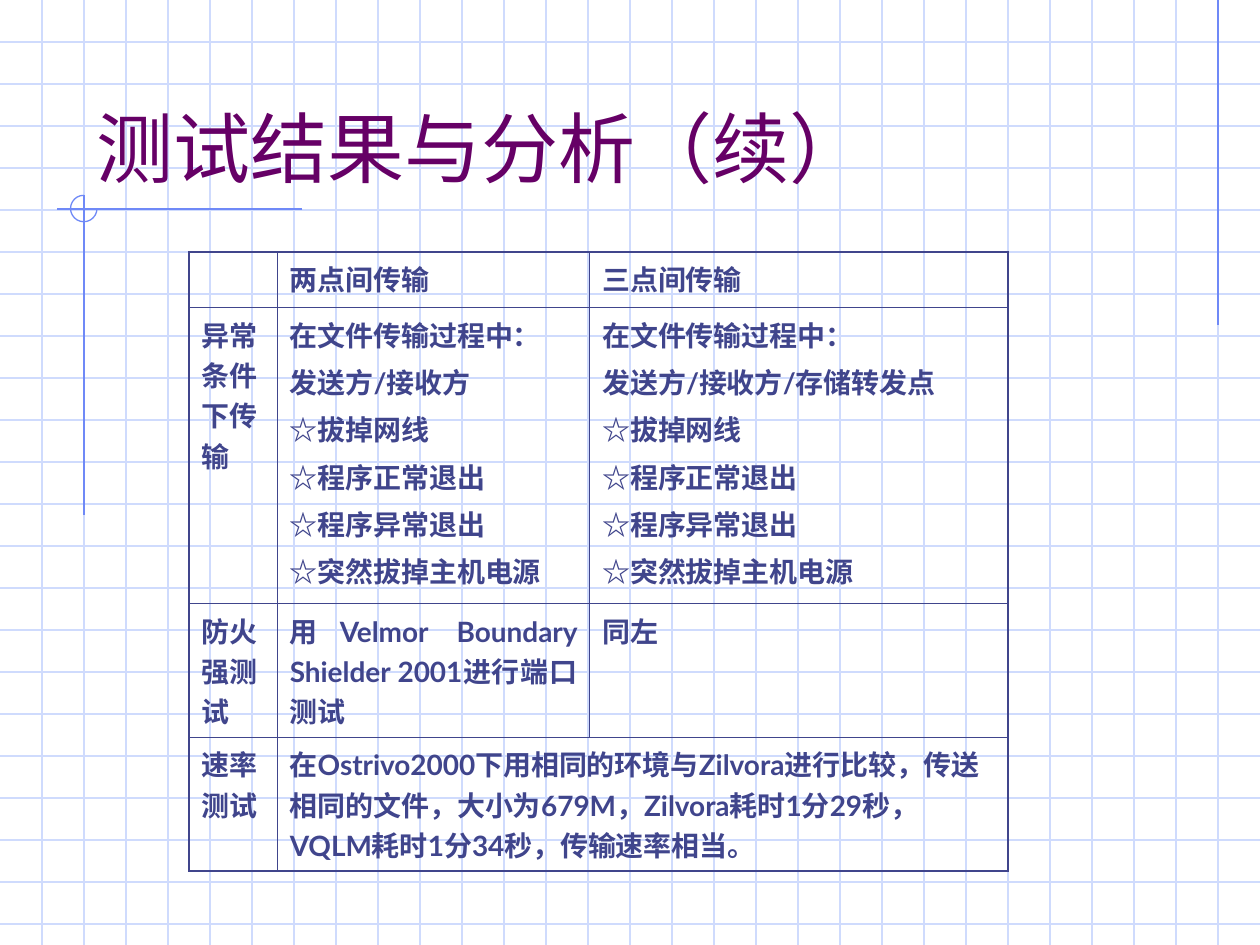
from itertools import groupby

from lxml import etree
from pptx import Presentation
from pptx.dml.color import RGBColor
from pptx.enum.shapes import MSO_CONNECTOR, MSO_SHAPE
from pptx.enum.text import MSO_ANCHOR, PP_ALIGN
from pptx.oxml.ns import qn
from pptx.util import Inches, Pt

STRAIGHT = MSO_CONNECTOR.STRAIGHT
ARC = MSO_SHAPE.ARC
BOTTOM = MSO_ANCHOR.BOTTOM
LEFT, JUSTIFY = PP_ALIGN.LEFT, PP_ALIGN.JUSTIFY

WIDTH, HEIGHT = 10, 7.5
GRID = 1 / 3
LATIN, CHINESE = "Lato", "Noto Sans CJK SC"
GRID_BLUE, ACCENT_BLUE, INK, PURPLE = "CFDBFD", "6F89F7", "40458C", "660066"


def add_text(paragraph, text, size, color, bold):
    """One run for each stretch of Latin or Chinese characters."""
    for is_latin, letters in groupby(text, str.isascii):
        run = paragraph.add_run()
        run.text = "".join(letters)
        run.font.size = Pt(size)
        run.font.bold = bold
        run.font.color.rgb = RGBColor.from_string(color)
        run.font.name = LATIN if is_latin else CHINESE
        east_asian = etree.SubElement(run.font._element, qn("a:ea"))
        east_asian.set("typeface", CHINESE)


def add_line(x1, y1, x2, y2, color):
    line = slide.shapes.add_connector(
        STRAIGHT, Inches(x1), Inches(y1), Inches(x2), Inches(y2))
    line.line.color.rgb = RGBColor.from_string(color)
    line.line.width = Pt(0.74)
    etree.SubElement(line._element.spPr, qn("a:effectLst"))


prs = Presentation()
prs.slide_width, prs.slide_height = Inches(WIDTH), Inches(HEIGHT)
slide = prs.slides.add_slide(prs.slide_layouts[5])

# Graph-paper background
for row in range(1, 23):
    add_line(0, row * GRID, WIDTH, row * GRID, GRID_BLUE)
for column in range(1, 30):
    add_line(column * GRID, 0, column * GRID, HEIGHT, GRID_BLUE)

# Accent lines and three-quarter circle
add_line(29 * GRID, 0, 29 * GRID, 2.58, ACCENT_BLUE)
add_line(2.4, 1.66, 0.45, 1.66, ACCENT_BLUE)
add_line(2 * GRID, 1.55, 2 * GRID, 4.09, ACCENT_BLUE)
circle = slide.shapes.add_shape(
    ARC, Inches(0.56), Inches(1.55), Inches(0.21), Inches(0.21))
circle.adjustments[0] = 0
circle.adjustments[1] = 162  # 270 degrees
circle.shadow.inherit = False
circle.fill.background()
circle.line.color.rgb = RGBColor.from_string(ACCENT_BLUE)
circle.line.width = Pt(0.74)

# Title, in front of the grid
title = slide.shapes.title
title.left, title.top = Inches(2 * GRID), Inches(GRID)
title.width, title.height = Inches(8.5), Inches(1.25)
title.text_frame.vertical_anchor = BOTTOM
title.text_frame.word_wrap = True
heading = title.text_frame.paragraphs[0]
heading.alignment = LEFT
add_text(heading, "测试结果与分析（续）", 44, PURPLE, False)
heading.runs[0].font.name = LATIN
slide.shapes._spTree.append(title._element)

# Test results: one list of paragraphs per cell
during = "在文件传输过程中："
faults = ["☆拔掉网线", "☆程序正常退出", "☆程序异常退出", "☆突然拔掉主机电源"]
results = [
    [[], ["两点间传输"], ["三点间传输"]],
    [["异常条件下传输"],
     [during, "发送方/接收方", *faults],
     [during, "发送方/接收方/存储转发点", *faults]],
    [["防火强测试"], ["用Velmor Boundary Shielder 2001进行端口测试"], ["同左"]],
    [["速率测试"],
     ["在Ostrivo2000下用相同的环境与Zilvora进行比较，传送相同的文件，大小为679M，"
      "Zilvora耗时1分29秒，VQLM耗时1分34秒，传输速率相当。"], []],
]
column_widths = [0.7, 2.48, 3.32]
row_heights = [0.44, 2.35, 0.9, 0.9]
last_row, last_column = len(row_heights) - 1, len(column_widths) - 1
table = slide.shapes.add_table(
    len(row_heights), len(column_widths), Inches(1.5), Inches(2),
    Inches(sum(column_widths)), Inches(sum(row_heights))).table
table.first_row = table.horz_banding = False
for column, width in zip(table.columns, column_widths):
    column.width = Inches(width)
for row, height in zip(table.rows, row_heights):
    row.height = Inches(height)
table.cell(last_row, 1).merge(table.cell(last_row, last_column))

for r, row in enumerate(results):
    for c, lines in enumerate(row):
        cell = table.cell(r, c)
        cell.fill.background()
        for i, text in enumerate(lines):
            frame = cell.text_frame
            paragraph = frame.add_paragraph() if i else frame.paragraphs[0]
            paragraph.space_before = Pt(4)
            paragraph.alignment = JUSTIFY if c and r in (1, 2) else LEFT
            add_text(paragraph, text, 16, INK, True)

        # Heavier border around the table than inside it
        outer_edges = {"L": c == 0, "R": c == last_column,
                       "T": r == 0, "B": r == last_row}
        if r == last_row and c == 1:
            outer_edges["R"] = True
        properties = cell._tc.get_or_add_tcPr()
        for position, (side, is_outer) in enumerate(outer_edges.items()):
            border = etree.Element(qn("a:ln" + side))
            border.set("w", str(Pt(1.08 if is_outer else 0.45)))
            fill = etree.SubElement(border, qn("a:solidFill"))
            etree.SubElement(fill, qn("a:srgbClr")).set("val", INK)
            properties.insert(position, border)

prs.save("out.pptx")
